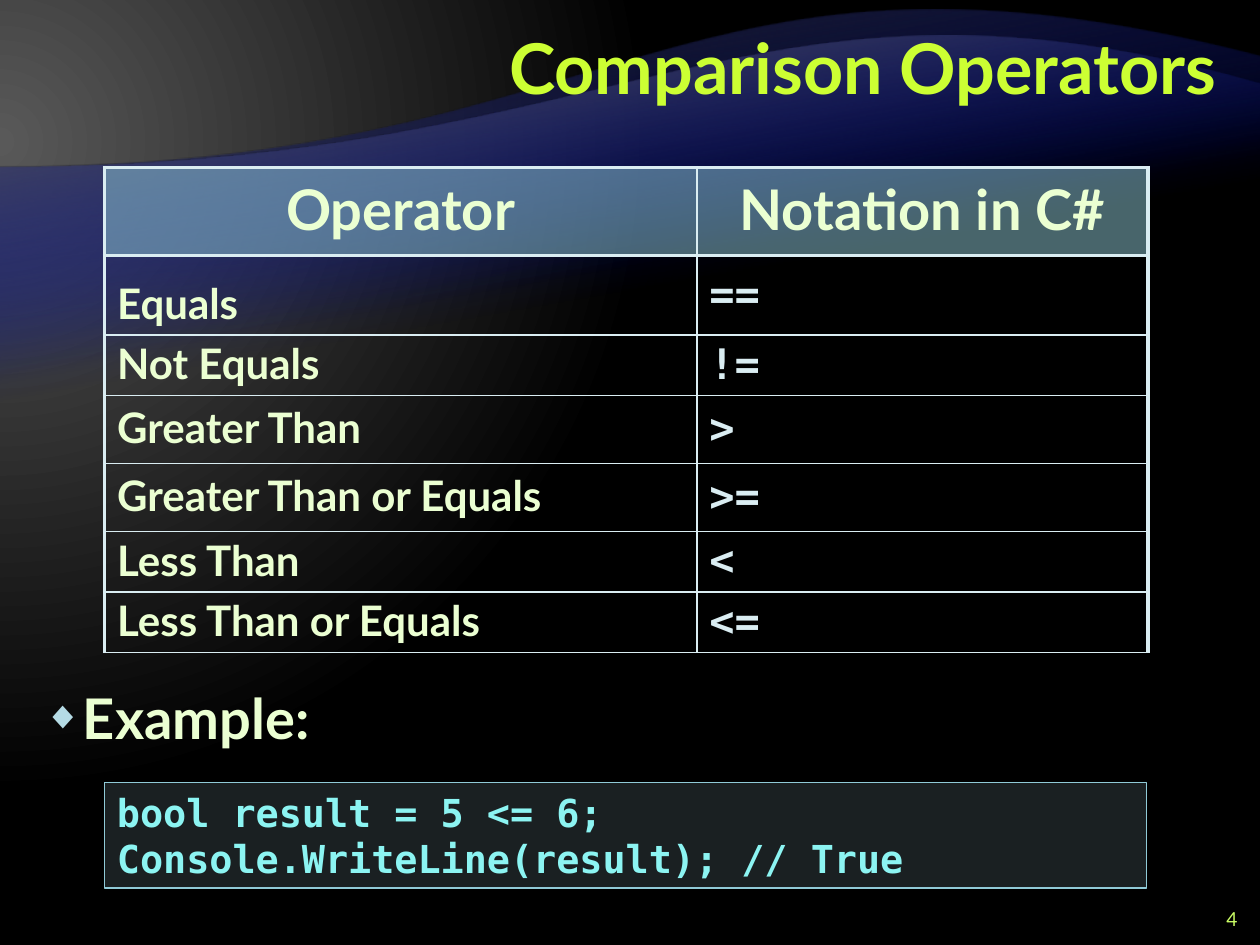
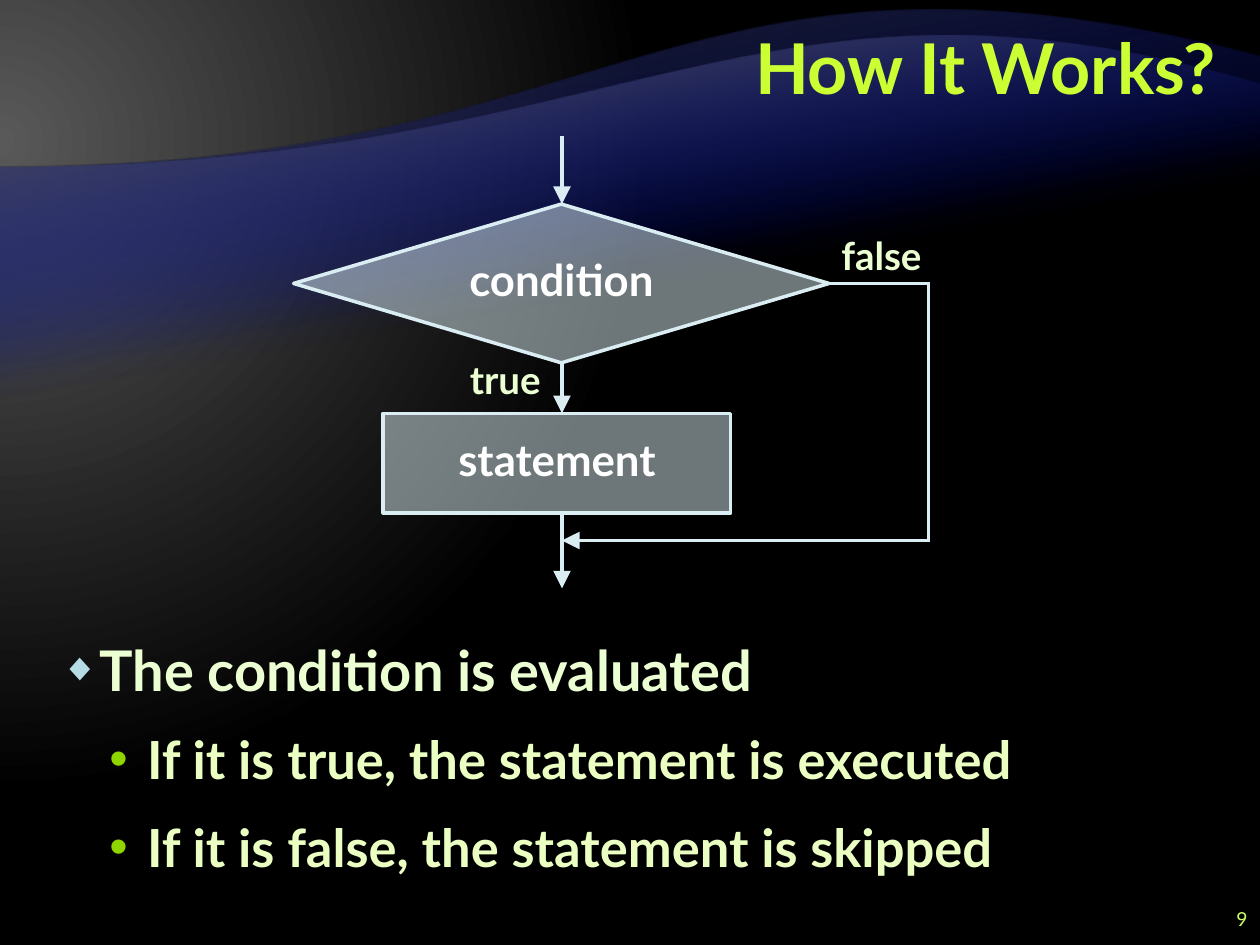
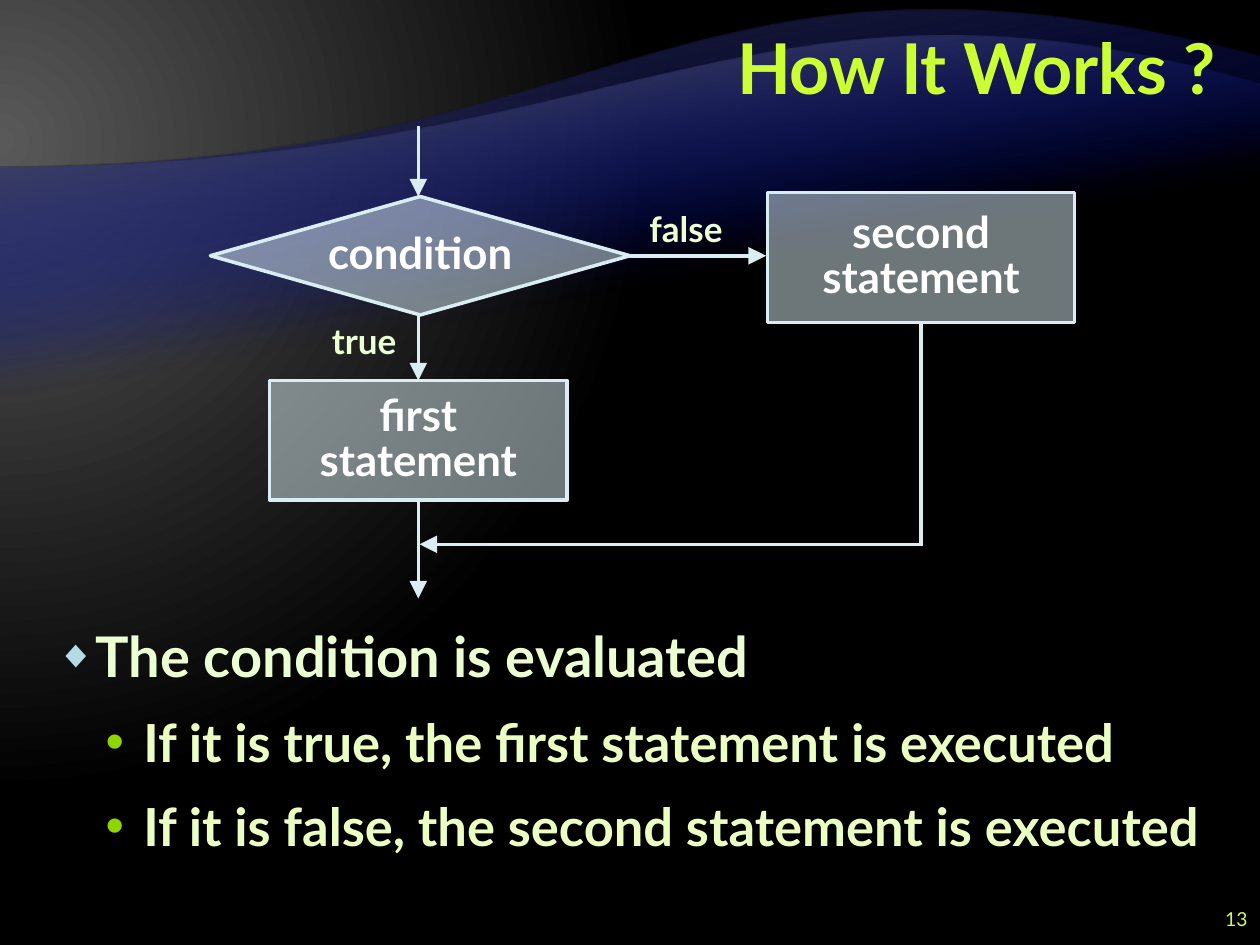
from dataclasses import dataclass

from lxml import etree
from pptx import Presentation
from pptx import util as u
from pptx.dml.color import RGBColor
from pptx.enum import shapes, text
from pptx.oxml.ns import qn


@dataclass(frozen=True)
class Theme:
    sans: str = "Lato"
    mono: str = "DejaVu Sans Mono"
    title: str = "CCFF33"
    number: str = "CCFF66"
    body: str = "EBFFD2"
    detail: str = "EBFFC2"
    code: str = "8CF4F2"
    white: str = "FFFFFF"
    line: str = "DAEDF2"
    header: str = "90CAD7"
    diamond_bullet: str = "B5DBE5"
    dot_bullet: str = "8FD600"
    glow: str = "595959"
    dark: str = "262626"
    blue: str = "000D9E"
    black: str = "000000"
    title_size: int = 40
    body_size: int = 32
    detail_size: int = 30
    node_size: int = 25
    cell_size: int = 24
    code_size: int = 22
    number_size: int = 11
    thick: float = 2.25
    thin: float = 1
    flow: float = 2


T = Theme()
ALIGN, ANCHOR = text.PP_ALIGN, text.MSO_ANCHOR
RECT = shapes.MSO_SHAPE.RECTANGLE
DECISION = shapes.MSO_SHAPE.FLOWCHART_DECISION

# ---- Content ----
# Wave bands: bottom edge, four Bezier points of the top edge, top colour
BANDS = [
    (6.53, [(0, 1.33), (5, 1.33), (5.34, -0.75), (10, 0.45)], T.dark),
    (5.57, [(0, 1.33), (5, 1.33), (5.98, -0.49), (10, 0.67)], T.glow),
]

OPERATORS = {
    "title": "Comparison Operators", "number": "4", "number_left": 9.42,
    "at": (0.83, 1.33, 8.27, 3.84),
    "columns": [4.7, 3.58],
    "heights": [0.7, 0.4, 0.4, 0.54, 0.54, 0.32, 0.27],
    "rows": [
        ("Operator", "Notation in C#"),
        ("Equals", "=="),
        ("Not Equals", "!="),
        ("Greater Than", ">"),
        ("Greater Than or Equals", ">="),
        ("Less Than", "<"),
        ("Less Than or Equals", "<="),
    ],
    "example": ("Example:", (0.25, 5.38, 9.5, 0.75)),
    "code": (["bool result = 5 <= 6;",
              "Console.WriteLine(result); // True"],
             (0.83, 6.21, 8.27, 0.84)),
}

# Each flow is a list of corner points that ends in an arrowhead
FLOWCHARTS = [
    {
        "title": "How It Works?", "number": "9",
        "nodes": [(DECISION, ["condition"], (2.33, 1.62, 4.25, 1.26)),
                  (RECT, ["statement"], (3.04, 3.28, 2.76, 0.79))],
        "flows": [[(4.46, 1.08), (4.46, 1.62)],
                  [(4.46, 2.88), (4.46, 3.28)],
                  [(4.46, 4.06), (4.46, 4.67)],
                  [(6.58, 2.25), (7.37, 2.25), (7.37, 4.29), (4.46, 4.29)]],
        "labels": [("true", (3.5, 2.83, 1.02, 0.42)),
                   ("false", (6.52, 1.85, 0.95, 0.42))],
        "label_size": 22,
        "points": ["The condition is evaluated",
                   "If it is true, the statement is executed",
                   "If it is false, the statement is skipped"],
        "points_at": (0.38, 5, 9.21, 2.22), "spacing": 38,
    },
    {
        "title": "How It Works ?", "number": "13",
        "nodes": [(DECISION, ["condition"], (1.67, 1.56, 3.33, 0.94)),
                  (RECT, ["first", "statement"], (2.14, 3.02, 2.36, 0.95)),
                  (RECT, ["second", "statement"], (6.09, 1.53, 2.44, 1.03))],
        "flows": [[(3.32, 1), (3.32, 1.56)],
                  [(3.32, 2.51), (3.32, 3.02)],
                  [(3.32, 3.97), (3.32, 4.75)],
                  [(4.95, 2.03), (6.08, 2.03)],
                  [(7.31, 2.56), (7.31, 4.32), (3.33, 4.32)]],
        "labels": [("true", (2.38, 2.54, 1.02, 0.39)),
                   ("false", (5.03, 1.65, 0.83, 0.39))],
        "label_size": 20,
        "points": ["The condition is evaluated",
                   "If it is true, the first statement is executed",
                   "If it is false, the second statement is executed"],
        "points_at": (0.35, 4.92, 9.29, 2.3), "spacing": 36,
    },
]


# ---- Helpers ----
def inches(values):
    return [u.Inches(v) for v in values]


def add(parent, tag, **attributes):
    child = etree.SubElement(parent, qn(tag))
    for key, value in attributes.items():
        child.set(key, str(value))
    return child


def write(frame, words, size=T.body_size, color=T.body, font=T.sans, bold=True,
          align=None, spacing=None, before=None, after=None,
          indent=None, bullet=None):
    """Add one paragraph; `before` is a share of the line if below 1, else points."""
    first = frame.paragraphs[0]
    paragraph = frame.add_paragraph() if first.runs else first
    run = paragraph.add_run()
    run.text = words
    run.font.size, run.font.name, run.font.bold = u.Pt(size), font, bold
    run.font.color.rgb = RGBColor.from_string(color)
    paragraph.alignment = align
    paragraph.line_spacing = spacing
    properties = paragraph._p.get_or_add_pPr()
    if before:
        paragraph.space_before = u.Pt(before)
        if before < 1:
            gap = properties.find(qn("a:spcBef"))
            gap.remove(gap[0])
            add(gap, "a:spcPct", val=round(before * 100000))
    if after:
        paragraph.space_after = u.Pt(after)
    if indent:
        margin, hanging = inches(indent)
        properties.set("marL", str(margin))
        properties.set("indent", str(hanging))
    if bullet:
        mark, mark_color, percent = bullet
        add(add(properties, "a:buClr"), "a:srgbClr", val=mark_color)
        add(properties, "a:buSzPct", val=percent * 1000)
        add(properties, "a:buFont", typeface="Arial")
        add(properties, "a:buChar", char=mark)


def text_box(slide, at, anchor=ANCHOR.TOP, grow=False):
    frame = slide.shapes.add_textbox(*inches(at)).text_frame
    frame.word_wrap = True
    frame.vertical_anchor = anchor
    if grow:
        frame.auto_size = text.MSO_AUTO_SIZE.SHAPE_TO_FIT_TEXT
    return frame


def tint(fill, owner, color, percent):
    """Solid fill with the given opacity."""
    fill.solid()
    fill.fore_color.rgb = RGBColor.from_string(color)
    solid = owner.find(qn("a:solidFill"))
    add(solid[0], "a:alpha", val=percent * 1000)


def shade(fill, owner, stops):
    """Gradient of (position, colour, opacity); returns it for its direction."""
    fill.gradient()
    gradient = owner.find(".//" + qn("a:gradFill"))
    for child in list(gradient):
        gradient.remove(child)
    stop_list = add(gradient, "a:gsLst")
    for position, color, opacity in stops:
        stop = add(stop_list, "a:gs", pos=position * 1000)
        add(add(stop, "a:srgbClr", val=color), "a:alpha", val=opacity * 1000)
    return gradient


def panel(slide, kind, at, color, percent, line_color, line_width):
    shape = slide.shapes.add_shape(kind, *inches(at))
    shape.shadow.inherit = False
    tint(shape.fill, shape.element.spPr, color, percent)
    shape.line.color.rgb = RGBColor.from_string(line_color)
    shape.line.width = u.Pt(line_width)
    shape.text_frame.word_wrap = True
    return shape.text_frame


def flow(slide, corners):
    for start, end in zip(corners, corners[1:]):
        leg = slide.shapes.add_connector(
            shapes.MSO_CONNECTOR.STRAIGHT, *inches(start + end))
        leg.line.color.rgb = RGBColor.from_string(T.line)
        leg.line.width = u.Pt(T.flow)
        stroke = leg.line._get_or_add_ln()
        if end == corners[-1]:
            add(stroke, "a:tailEnd", type="triangle", w="lg", len="lg")
        else:
            stroke.set("cap", "sq")
        add(leg.element.spPr, "a:effectLst")


def border(cell, row, column, last_column):
    """Thick frame and header rule, thin inner grid."""
    thick_sides = {"a:lnL": column == 0, "a:lnR": column == last_column,
                   "a:lnT": row <= 1, "a:lnB": row == 0}
    properties = cell._tc.get_or_add_tcPr()
    for place, (side, thick) in enumerate(thick_sides.items()):
        edge = add(properties, side, w=u.Pt(T.thick if thick else T.thin))
        add(add(edge, "a:solidFill"), "a:srgbClr", val=T.line)
        properties.insert(place, edge)


# ---- Shared look ----
def wave_band(slide, bottom, edge, color):
    """A band drawn upside down and turned by 180 degrees, gradient included."""
    top = edge[-1][1]
    turned = [(10 - x, bottom - y) for x, y in edge]
    height = bottom - top
    corners = [(10, 0), turned[0], turned[-1]]
    builder = slide.shapes.build_freeform(0, 0)
    builder.add_line_segments([tuple(inches(c)) for c in corners], close=True)
    band = builder.convert_to_shape(0, u.Inches(top))
    band.height = u.Inches(height)
    band.rotation = 180

    # The side between the last two corners becomes the wave
    side = band.element.findall(".//" + qn("a:lnTo"))[-1]
    wave = etree.Element(qn("a:cubicBezTo"))
    for point in turned[1:]:
        x, y = inches(point)
        add(wave, "a:pt", x=x, y=y)
    side.getparent().replace(side, wave)

    band.shadow.inherit = False
    band.line.fill.background()
    fade = shade(band.fill, band.element.spPr,
                 [(65, T.blue, 0), (100, color, 100)])
    add(fade, "a:lin", ang=80 * 60000, scaled=0)
    return band


def dress_layout(layout, slide):
    """Give the layout its background and wave bands, drawn by way of a slide."""
    glow = shade(layout.background.fill, layout.element,
                 [(0, T.glow, 100), (83, T.black, 100)])
    add(add(glow, "a:path", path="circle"), "a:fillToRect",
        l=20000, t=30000, r=135000, b=100000)
    for band in BANDS:
        layout.shapes.element.append(wave_band(slide, *band).element)


def head_and_foot(slide, content):
    write(text_box(slide, (2, 0.08, 7.75, 1), ANCHOR.MIDDLE), content["title"],
          size=T.title_size, color=T.title, align=ALIGN.RIGHT,
          spacing=u.Pt(T.title_size))
    left = content.get("number_left", 9.5)
    write(text_box(slide, (left, 7.17, 0.5, 0.25), ANCHOR.MIDDLE),
          content["number"], size=T.number_size, color=T.number, bold=False,
          align=ALIGN.RIGHT)


def bullet_point(frame, words, spacing, detail=False):
    style = (dict(size=T.detail_size, color=T.detail, indent=(0.69, -0.3),
                  bullet=("\u2022", T.dot_bullet, 100)) if detail else
             dict(indent=(0.31, -0.31), bullet=("\u25c6", T.diamond_bullet, 70)))
    write(frame, words, spacing=u.Pt(spacing), before=6, after=6, **style)


# ---- Slides ----
def operators_slide(slide, content):
    head_and_foot(slide, content)
    rows, columns = content["rows"], content["columns"]
    table = slide.shapes.add_table(
        len(rows), len(columns), *inches(content["at"])).table
    table.first_row = table.horz_banding = False
    for column, width in zip(table.columns, columns):
        column.width = u.Inches(width)
    for r, (height, entries) in enumerate(zip(content["heights"], rows)):
        table.rows[r].height = u.Inches(height)
        for c, entry in enumerate(entries):
            cell = table.cell(r, c)
            cell.vertical_anchor = ANCHOR.MIDDLE
            style = dict(size=T.cell_size, spacing=0.95, before=0.4)
            if r == 0:
                style.update(size=T.body_size, align=ALIGN.CENTER)
                tint(cell.fill, cell._tc.get_or_add_tcPr(), T.header, 50)
            else:
                cell.fill.background()
                if c == 1:
                    style.update(font=T.mono, color=T.line)
                elif r == 1:
                    style.update(spacing=u.Pt(38), before=6, after=6,
                                 indent=(0.31, -0.31))
            write(cell.text_frame, entry, **style)
            border(cell, r, c, len(columns) - 1)

    # Example and its code
    words, at = content["example"]
    bullet_point(text_box(slide, at), words, 38)
    lines, at = content["code"]
    code = panel(slide, RECT, at, T.diamond_bullet, 15, T.header, T.thin)
    code.vertical_anchor = ANCHOR.TOP
    code.auto_size = text.MSO_AUTO_SIZE.SHAPE_TO_FIT_TEXT
    for line in lines:
        write(code, line, size=T.code_size, color=T.code, font=T.mono,
              align=ALIGN.LEFT)


def flowchart_slide(slide, content):
    head_and_foot(slide, content)
    points = text_box(slide, content["points_at"])
    for i, words in enumerate(content["points"]):
        bullet_point(points, words, content["spacing"], detail=i > 0)

    # Chart: boxes, arrows, branch labels
    for kind, lines, at in content["nodes"]:
        node = panel(slide, kind, at, T.line, 50, T.line, T.flow)
        node.vertical_anchor = ANCHOR.MIDDLE
        for line in lines:
            write(node, line, size=T.node_size, color=T.white,
                  align=ALIGN.CENTER, spacing=0.85)
    for corners in content["flows"]:
        flow(slide, corners)
    for words, at in content["labels"]:
        write(text_box(slide, at, grow=True), words, size=content["label_size"],
              align=ALIGN.CENTER, spacing=0.85, before=0.5)


deck = Presentation()
deck.slide_width, deck.slide_height = inches((10, 7.5))
blank = deck.slide_layouts[6]
opening = deck.slides.add_slide(blank)
dress_layout(blank, opening)
operators_slide(opening, OPERATORS)
for chart in FLOWCHARTS:
    flowchart_slide(deck.slides.add_slide(blank), chart)
deck.save("out.pptx")
